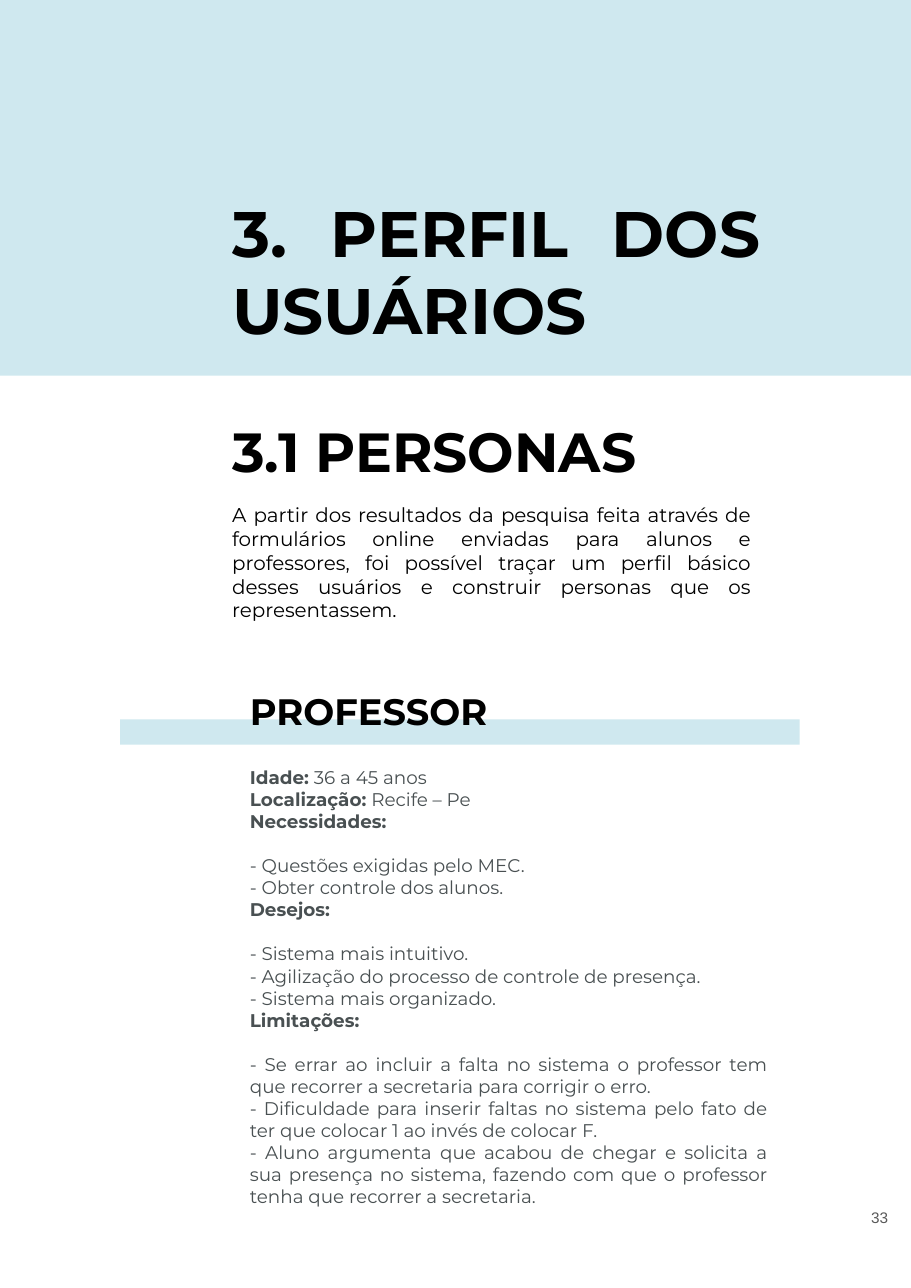
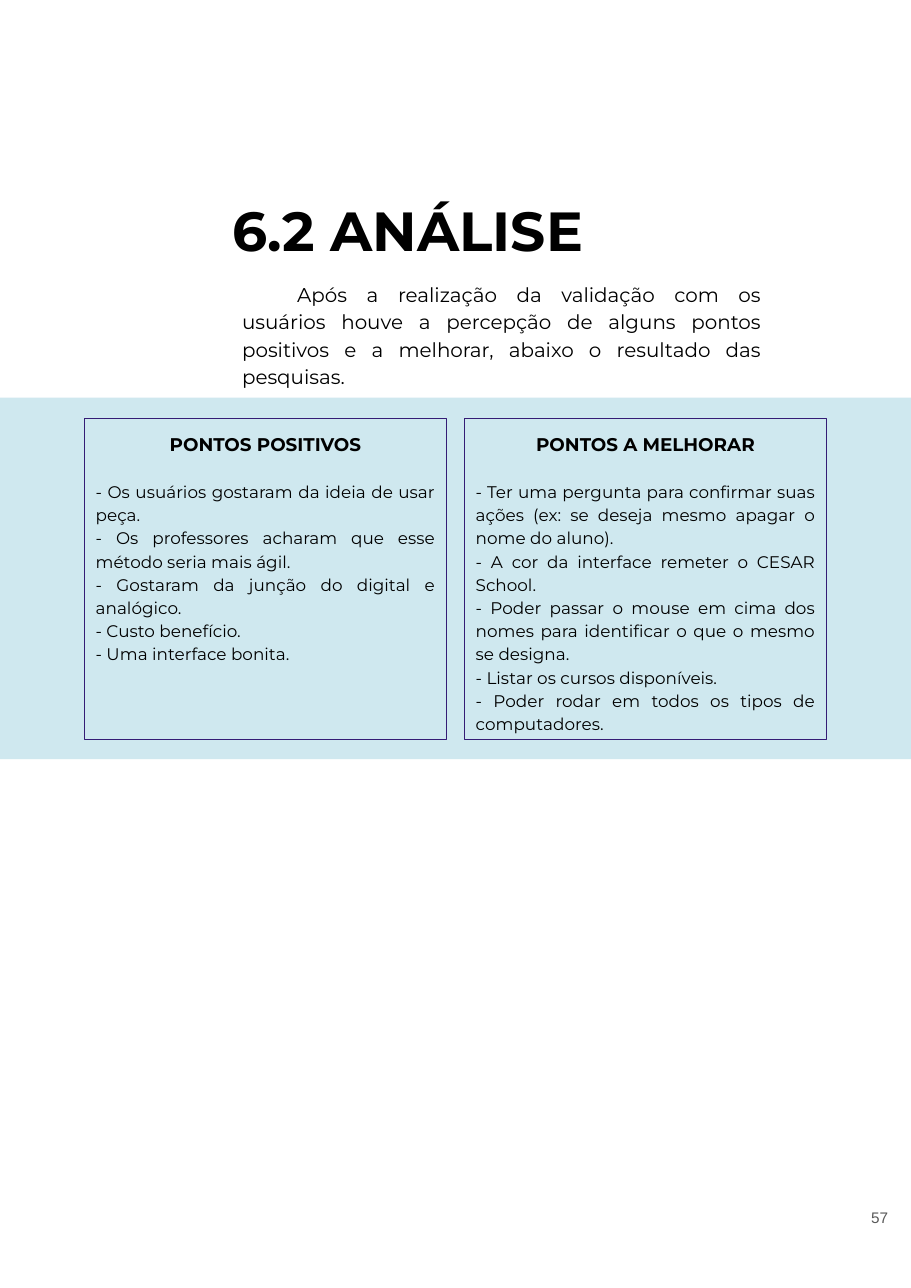
"""Build two pages of a report: user personas and validation analysis."""
from dataclasses import dataclass

import pptx
import pptx.dml.color
import pptx.enum.shapes
import pptx.enum.text
import pptx.util

Inches = pptx.util.Inches
Pt = pptx.util.Pt
ALIGN = pptx.enum.text.PP_ALIGN
ANCHOR = pptx.enum.text.MSO_ANCHOR

COLORS = {"band": "CFE8EF", "ink": "000000", "gray": "495052",
          "number": "595959", "border": "351C75"}
PAGE_W, PAGE_H = 8.27, 11.69
TEXT_X = 2.01


@dataclass(frozen=True)
class Style:
    size: float
    bold: bool = False
    color: str = "ink"
    font: str = "Montserrat"
    align: ALIGN = ALIGN.JUSTIFY
    spacing: float = 1.0
    before: float = 0
    indent: float = 0


@dataclass(frozen=True)
class Para:
    style: Style
    text: str = ""
    label: str = ""


@dataclass(frozen=True)
class Box:
    x: float
    y: float
    w: float
    h: float


@dataclass(frozen=True)
class Card:
    title: str
    items: tuple[str, ...]


CHAPTER = Style(42, bold=True)
SECTION = Style(36, bold=True)
PERSONA = Style(24, bold=True)
BODY = Style(13)
INTRO = Style(13, spacing=1.15, indent=0.5)
PROFILE = Style(12, color="gray")
PROFILE_FIRST = Style(12, color="gray", before=14.6)
CARD_TITLE = Style(12, bold=True, align=ALIGN.CENTER, spacing=1.15)
CARD_ITEM = Style(11, spacing=1.15)
CARD_FIRST = Style(11, spacing=1.15, before=15.4)
NUMBER = Style(10, color="number", font="Arial", align=ALIGN.RIGHT)

FACTS = (("Idade:", " 36 a 45 anos"), ("Localização:", " Recife – Pe"))
TOPICS = (
    ("Necessidades:", ("Questões exigidas pelo MEC.", "Obter controle dos alunos.")),
    ("Desejos:", ("Sistema mais intuitivo.",
                  "Agilização do processo de controle de presença.",
                  "Sistema mais organizado.")),
    ("Limitações:", (
        "Se errar ao incluir a falta no sistema o professor tem que recorrer "
        "a secretaria para corrigir o erro.",
        "Dificuldade para inserir faltas no sistema pelo fato de ter que "
        "colocar 1 ao invés de colocar F.",
        "Aluno argumenta que acabou de chegar e solicita a sua presença no "
        "sistema, fazendo com que o professor tenha que recorrer a secretaria.")),
)
CARDS = (
    Card("PONTOS POSITIVOS", (
        "Os usuários gostaram da ideia de usar peça.",
        "Os professores acharam que esse método seria mais ágil.",
        "Gostaram da junção do digital e analógico.",
        "Custo benefício.",
        "Uma interface bonita.")),
    Card("PONTOS A MELHORAR", (
        "Ter uma pergunta para confirmar suas ações (ex: se deseja mesmo "
        "apagar o nome do aluno).",
        "A cor da interface remeter o CESAR School.",
        "Poder passar o mouse em cima dos nomes para identificar o que o "
        "mesmo se designa.",
        "Listar os cursos disponíveis.",
        "Poder rodar em todos os tipos de computadores.")),
)


def rgb(name: str) -> pptx.dml.color.RGBColor:
    return pptx.dml.color.RGBColor.from_string(COLORS[name])


def add_run(p, text: str, style: Style, bold: bool) -> None:
    r = p.add_run()
    r.text = text
    r.font.name = style.font
    r.font.size = Pt(style.size)
    r.font.bold = bold
    r.font.color.rgb = rgb(style.color)


def write(sp, paras: list[Para], anchor: ANCHOR = ANCHOR.TOP) -> None:
    tf = sp.text_frame
    tf.word_wrap = True
    tf.vertical_anchor = anchor
    tf.margin_left = tf.margin_right = tf.margin_top = tf.margin_bottom = Inches(0.1)
    for i, para in enumerate(paras):
        p = tf.add_paragraph() if i else tf.paragraphs[0]
        style = para.style
        p.alignment = style.align
        p.line_spacing = style.spacing
        if style.before:
            p.space_before = Pt(style.before)
        if style.indent:
            p._p.get_or_add_pPr().set("indent", str(Inches(style.indent)))
        if para.label:
            add_run(p, para.label, style, True)
        if para.text:
            add_run(p, para.text, style, style.bold)


def add_text(s, box: Box, paras: list[Para], anchor: ANCHOR = ANCHOR.TOP) -> None:
    sp = s.shapes.add_textbox(Inches(box.x), Inches(box.y), Inches(box.w), Inches(box.h))
    write(sp, paras, anchor)


def add_rect(s, box: Box):
    sp = s.shapes.add_shape(pptx.enum.shapes.MSO_SHAPE.RECTANGLE, Inches(box.x),
                            Inches(box.y), Inches(box.w), Inches(box.h))
    sp.shadow.inherit = False
    return sp


def add_band(s, box: Box) -> None:
    sp = add_rect(s, box)
    sp.fill.solid()
    sp.fill.fore_color.rgb = rgb("band")
    sp.line.fill.background()


def add_section(s, y: float, title: str) -> None:
    add_text(s, Box(TEXT_X, y, 4.99, 0.8), [Para(SECTION, title)])


def add_card(s, box: Box, card: Card) -> None:
    sp = add_rect(s, box)
    sp.fill.background()
    sp.line.color.rgb = rgb("border")
    sp.line.width = Pt(0.75)
    items = [Para(CARD_ITEM if i else CARD_FIRST, f"- {text}")
             for i, text in enumerate(card.items)]
    write(sp, [Para(CARD_TITLE, card.title), *items])


def add_page(prs, number: int):
    s = prs.slides.add_slide(prs.slide_layouts[6])
    add_text(s, Box(7.66, 10.6, 0.5, 0.89), [Para(NUMBER, str(number))], ANCHOR.MIDDLE)
    return s


def profile() -> list[Para]:
    paras = [Para(PROFILE, text, label) for label, text in FACTS]
    for label, items in TOPICS:
        paras.append(Para(PROFILE, label=label))
        paras += [Para(PROFILE if i else PROFILE_FIRST, f"- {text}")
                  for i, text in enumerate(items)]
    return paras


def personas_page(prs) -> None:
    s = add_page(prs, 33)
    add_band(s, Box(0, 0, PAGE_W, 3.41))
    add_text(s, Box(TEXT_X, 1.65, 4.99, 1.53), [Para(CHAPTER, "3. PERFIL DOS USUÁRIOS")])
    add_section(s, 3.69, "3.1 PERSONAS")
    add_text(s, Box(TEXT_X, 4.46, 4.9, 1.28), [Para(
        BODY, "A partir dos resultados da pesquisa feita através de formulários "
        "online enviadas para alunos e professores, foi possível traçar um perfil "
        "básico desses usuários e construir personas que os representassem.")])
    add_band(s, Box(1.09, 6.53, 6.17, 0.23))
    add_text(s, Box(2.17, 6.15, 5.91, 0.87), [Para(PERSONA, "PROFESSOR")])
    add_text(s, Box(2.17, 6.85, 4.9, 3.58), profile())


def analysis_page(prs) -> None:
    s = add_page(prs, 57)
    add_band(s, Box(0, 3.61, PAGE_W, 3.28))
    add_section(s, 1.68, "6.2 ANÁLISE")
    add_text(s, Box(2.1, 2.43, 4.9, 0.76), [Para(
        INTRO, "Após a realização da validação com os usuários houve a percepção de "
        "alguns pontos positivos e a melhorar, abaixo o resultado das pesquisas.")])
    width, gap = 3.28, 0.17
    for i, card in enumerate(CARDS):
        add_card(s, Box(0.77 + i * (width + gap), 3.8, width, 2.91), card)


def main() -> None:
    prs = pptx.Presentation()
    prs.slide_width = Inches(PAGE_W)
    prs.slide_height = Inches(PAGE_H)
    personas_page(prs)
    analysis_page(prs)
    prs.save("out.pptx")


if __name__ == "__main__":
    main()
